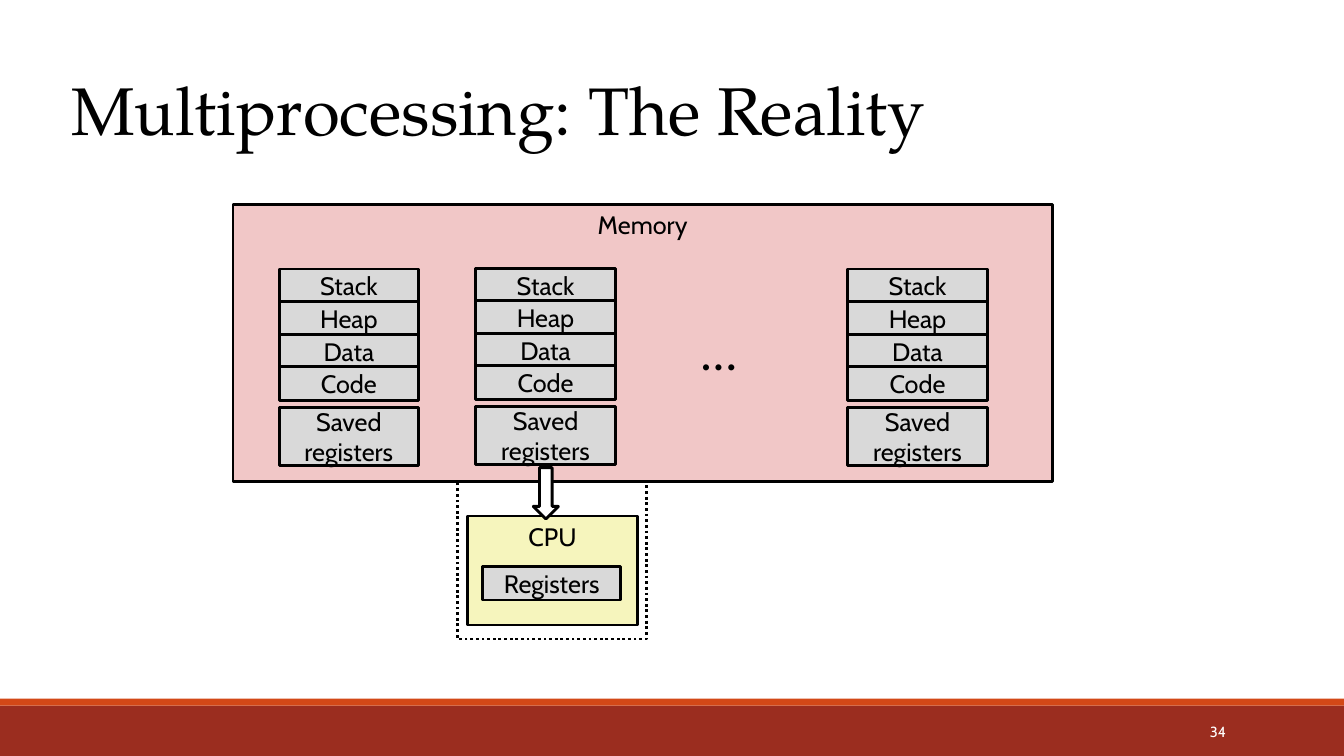
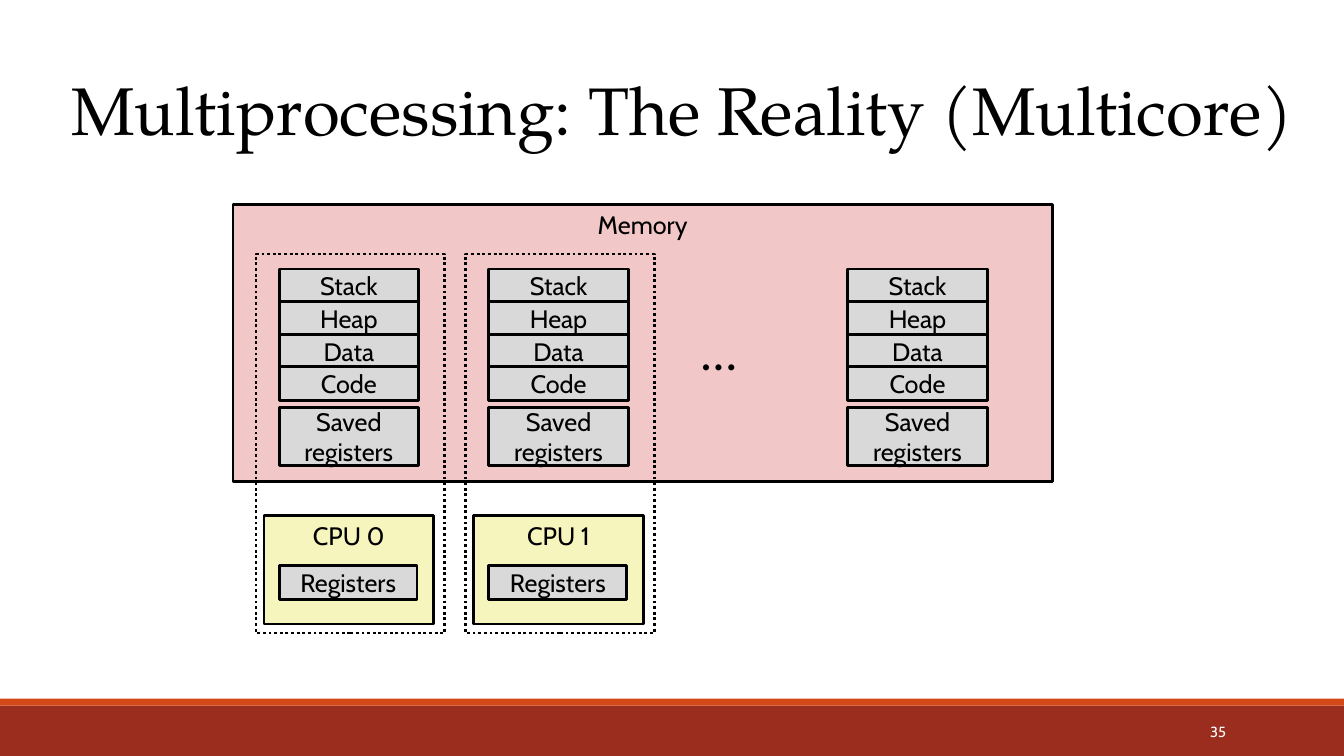
from pptx import Presentation
from pptx.dml.color import RGBColor
from pptx.enum.dml import MSO_LINE
from pptx.enum.shapes import MSO_SHAPE
from pptx.enum.text import MSO_ANCHOR, MSO_AUTO_SIZE, PP_ALIGN
from pptx.util import Pt

RECTANGLE, DOWN_ARROW = MSO_SHAPE.RECTANGLE, MSO_SHAPE.DOWN_ARROW
TOP, MIDDLE = MSO_ANCHOR.TOP, MSO_ANCHOR.MIDDLE
LEFT, CENTER, RIGHT = PP_ALIGN.LEFT, PP_ALIGN.CENTER, PP_ALIGN.RIGHT
DOTTED = MSO_LINE.ROUND_DOT
FIT_SHAPE = MSO_AUTO_SIZE.SHAPE_TO_FIT_TEXT

COLORS = {
    "band": "9B2D1F", "stripe": "D34817", "text": "000000", "white": "FFFFFF",
    "memory": "F1C7C7", "cpu": "F6F5BD", "segment": "D9D9D9", "outline": "000000",
}
TITLE_FONT, BODY_FONT, DOTS_FONT = "TeX Gyre Pagella", "Cabin", "Calibri"

# Lengths in points; boxes are (left, top, width, height)
SLIDE_WIDTH, SLIDE_HEIGHT = 960, 540
MEMORY_BOX = (166.4, 146.2, 585.2, 197.5)
SEGMENTS = ["Stack", "Heap", "Data", "Code"]
SEGMENT_PITCH, SEGMENT_HEIGHT = 23.25, 24
PROCESS_SIZE = (99.6, 140.4)
SAVED_HEIGHT = 41.8
CPU_SIZE = (121.2, 77.8)
FRAME_WIDTH = 134.8


def color(name):
    return RGBColor.from_string(COLORS[name])


def write(shape, text, size, font=BODY_FONT, ink="text", align=CENTER, anchor=MIDDLE):
    frame = shape.text_frame
    frame.word_wrap = True
    frame.vertical_anchor = anchor
    frame.text = text
    paragraph = frame.paragraphs[0]
    paragraph.alignment = align
    run_font = paragraph.runs[0].font
    run_font.name, run_font.size = font, Pt(size)
    run_font.color.rgb = color(ink)


def add_text(slide, box, text, size, **style):
    shape = slide.shapes.add_textbox(*map(Pt, box))
    write(shape, text, size, **style)
    return shape


def add_block(slide, box, fill=None, text=None, anchor=MIDDLE, kind=RECTANGLE,
              outlined=True, dash=None):
    shape = slide.shapes.add_shape(kind, *map(Pt, box))
    shape.shadow.inherit = False
    if fill:
        shape.fill.solid()
        shape.fill.fore_color.rgb = color(fill)
    else:
        shape.fill.background()
    if outlined:
        shape.line.color.rgb = color("outline")
        shape.line.width = Pt(2)
        if dash:
            shape.line.dash_style = dash
    else:
        shape.line.fill.background()
    if text:
        write(shape, text, 18, anchor=anchor)


def add_base(presentation, title, number):
    """Blank slide with the shared bands, title and page number."""
    slide = presentation.slides.add_slide(presentation.slide_layouts[6])
    add_block(slide, (0, 504, SLIDE_WIDTH, 36), "band", outlined=False)
    add_block(slide, (0, 499, SLIDE_WIDTH, 5), "stripe", outlined=False)
    add_text(slide, (43.9, 54.7, 897.1, 45.4), title, 48, font=TITLE_FONT, align=LEFT)
    add_text(slide, (779.8, 508.3, 103, 28.8), str(number), 10.5,
             ink="white", align=RIGHT)
    return slide


def add_process(slide, box):
    """Stacked memory segments with the saved registers at the foot."""
    left, top, width, height = box
    for row, name in enumerate(SEGMENTS):
        add_block(slide, (left, top + row * SEGMENT_PITCH, width, SEGMENT_HEIGHT),
                  "segment", name)
    add_block(slide, (left, top + height - SAVED_HEIGHT, width, SAVED_HEIGHT),
              "segment", "Saved registers")


def add_cpu(slide, box, name):
    left, top, width, height = box
    add_block(slide, box, "cpu", name, anchor=TOP)
    add_block(slide, (left + 10.8, top + 36, width - 22.6, 24), "segment", "Registers")


def add_memory(slide, box, processes):
    """Memory area holding processes at the given (left, top) offsets."""
    left, top = box[:2]
    add_block(slide, box, "memory", "Memory", anchor=TOP)
    for x, y in processes:
        add_process(slide, (left + x, top + y, *PROCESS_SIZE))
    dots = add_text(slide, (left + 327.5, top + 79.2, 40.3, 51), "…", 36,
                    font=DOTS_FONT, align=LEFT, anchor=TOP)
    dots.text_frame.word_wrap = False
    dots.text_frame.auto_size = FIT_SHAPE


def add_frame(slide, left, top, bottom):
    add_block(slide, (left, top, FRAME_WIDTH, bottom - top), dash=DOTTED)


def build_single_core(presentation):
    slide = add_base(presentation, "Multiprocessing: The Reality", 34)
    add_cpu(slide, (334, 368.6, *CPU_SIZE), "CPU")
    add_memory(slide, MEMORY_BOX, [(33, 46), (439.2, 46), (173.5, 45.3)])
    add_frame(slide, 326.9, 343.7, 456.5)
    add_block(slide, (380.9, 334, 18, 36.7), "white", kind=DOWN_ARROW)


def build_multicore(presentation):
    slide = add_base(presentation, "Multiprocessing: The Reality (Multicore)", 35)
    core_offsets = [33, 182.8]
    add_memory(slide, MEMORY_BOX, [(x, 46) for x in (*core_offsets, 439.2)])
    for core, offset in enumerate(core_offsets):
        process_left = MEMORY_BOX[0] + offset
        add_cpu(slide, (process_left - 10.8, 368, *CPU_SIZE), f"CPU {core}")
        add_frame(slide, process_left - 16.6, 181.4, 452.2)


presentation = Presentation()
presentation.slide_width, presentation.slide_height = Pt(SLIDE_WIDTH), Pt(SLIDE_HEIGHT)
build_single_core(presentation)
build_multicore(presentation)
presentation.save("out.pptx")
